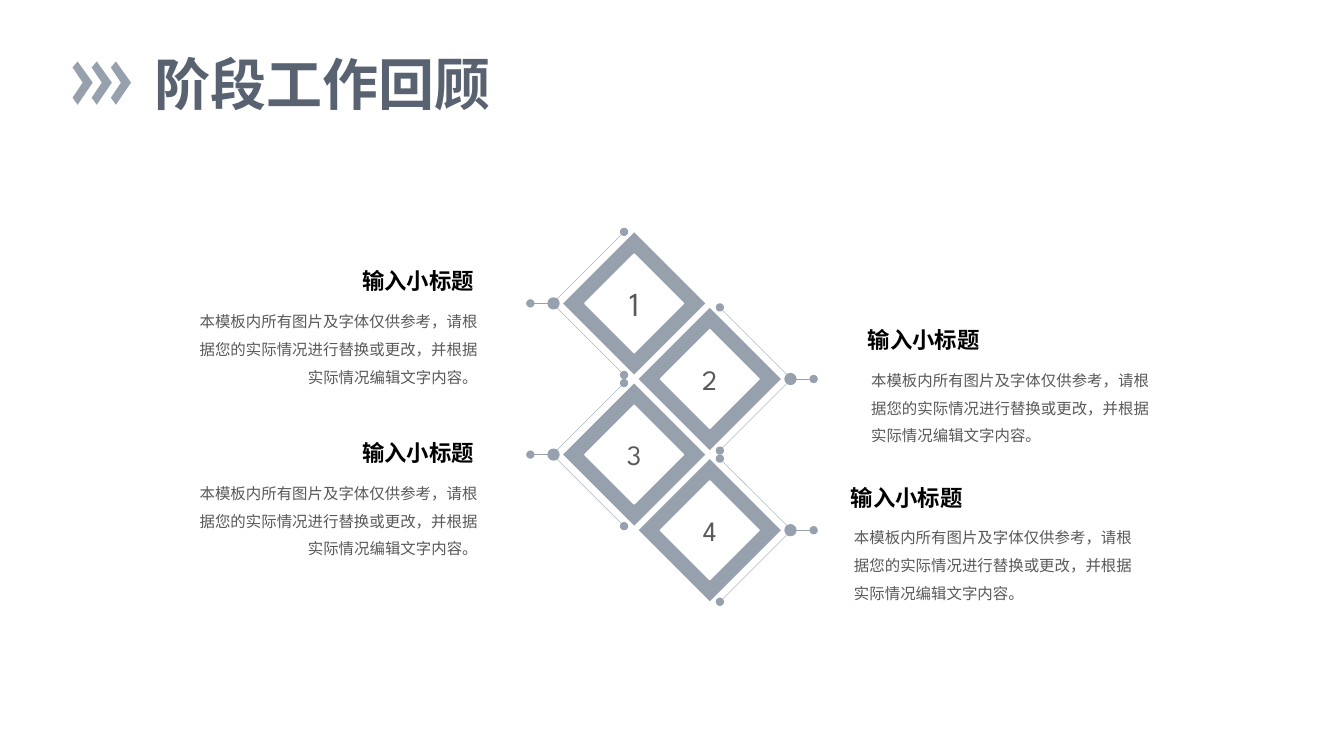
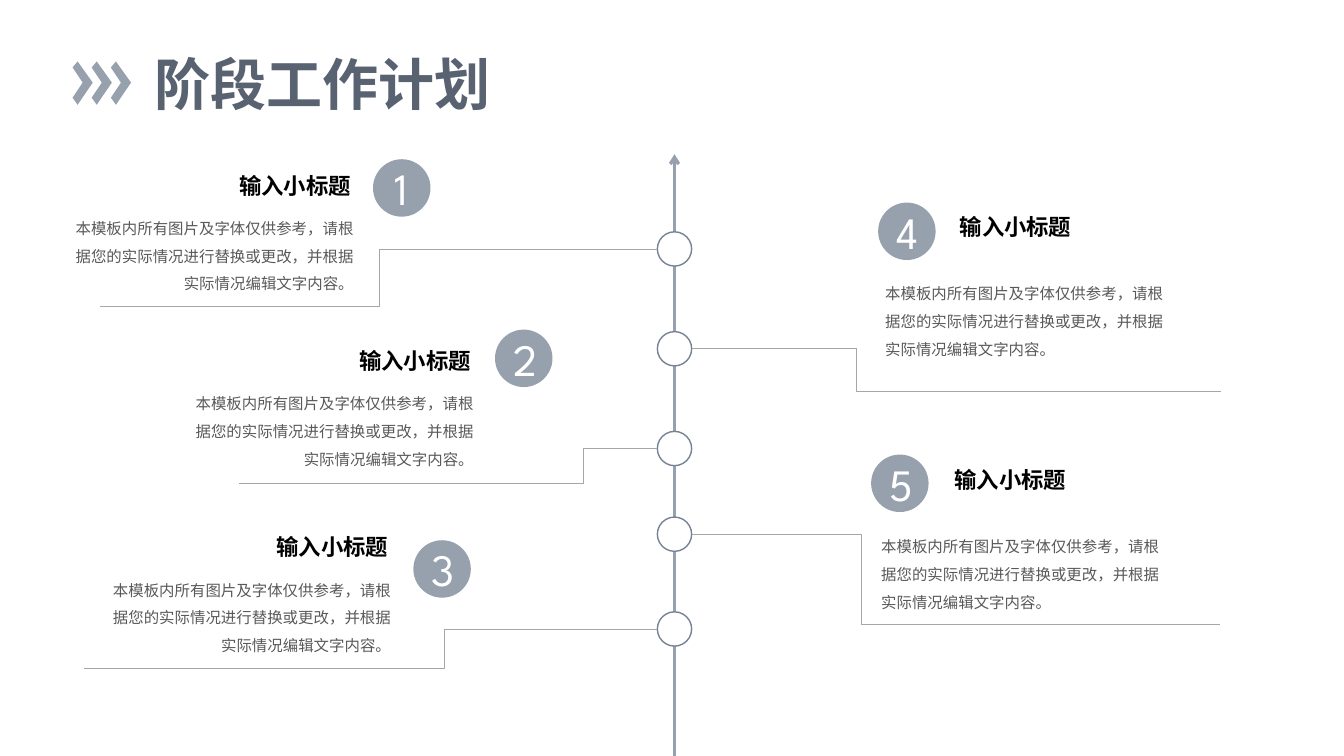
from lxml import etree
from pptx import Presentation
from pptx.dml.color import RGBColor
from pptx.enum.shapes import MSO_CONNECTOR, MSO_SHAPE
from pptx.enum.text import MSO_ANCHOR, MSO_AUTO_SIZE, PP_ALIGN
from pptx.oxml.ns import qn
from pptx.util import Inches, Pt

STRAIGHT, ELBOW = MSO_CONNECTOR.STRAIGHT, MSO_CONNECTOR.ELBOW
DIAMOND, OVAL = MSO_SHAPE.DIAMOND, MSO_SHAPE.OVAL
LEFT, CENTER, RIGHT = PP_ALIGN.LEFT, PP_ALIGN.CENTER, PP_ALIGN.RIGHT
TOP, MIDDLE = MSO_ANCHOR.TOP, MSO_ANCHOR.MIDDLE
FIT_SHAPE = MSO_AUTO_SIZE.SHAPE_TO_FIT_TEXT

FONT = "League Spartan"
COLORS = {
    "accent": "97A0AD", "title": "586270", "heading": "000000",
    "body": "595959", "white": "FFFFFF", "ring": "768395", "branch": "A6A6A6",
}

# Content
REVIEW_TITLE = "阶段工作回顾"
PLAN_TITLE = "阶段工作计划"
HEADING = "输入小标题"
BODY = ("本模板内所有图片及字体仅供参考，请根据您的实际情况进行替换或更改，"
        "并根据实际情况编辑文字内容。")

# number, number size, heading position, body position
REVIEW_STEPS = [
    ("1", 24, (2.62, 2.6), (1.91, 2.98)),
    ("2", 20, (8.51, 3.19), (8.57, 3.56)),
    ("3", 20, (2.62, 4.31), (1.91, 4.68)),
    ("4", 20, (8.34, 4.75), (8.4, 5.12)),
]
# number, alignment, badge position, heading position, body position
PLAN_STEPS = [
    ("1", RIGHT, (3.7, 1.58), (1.4, 1.66), (0.68, 2.05)),
    ("2", RIGHT, (4.91, 3.27), (2.59, 3.39), (1.87, 3.79)),
    ("3", RIGHT, (4.1, 5.36), (1.77, 5.24), (1.05, 5.64)),
    ("4", LEFT, (8.71, 2.01), (9.42, 2.07), (8.71, 2.7)),
    ("5", LEFT, (8.64, 4.51), (9.37, 4.58), (8.67, 5.21)),
]
# node y, bend x, branch end x, branch end y
PLAN_BRANCHES = [
    (2.47, 3.76, 0.99, 3.04),
    (3.46, 8.5, 12.11, 3.88),
    (4.45, 5.78, 2.37, 4.8),
    (5.3, 8.54, 12.1, 6.19),
    (6.24, 4.41, 0.83, 6.63),
]

# Geometry
CHEVRON = [(0, 0.06), (0.05, 0), (0.2, 0.21), (0.05, 0.43), (0, 0.36), (0.1, 0.21)]
CHEVRON_X, CHEVRON_Y, CHEVRON_STEP = 0.72, 0.61, 0.19
DIAMOND_X, DIAMOND_Y, DIAMOND_STEP = 6.29, 3.01, 0.75
AXIS_X, NODE_SIZE, BADGE_SIZE = 6.69, 0.34, 0.57


def rgb(name):
    return RGBColor.from_string(COLORS[name])


def write(shape, text, size, color, align=LEFT, bold=False, anchor=TOP):
    frame = shape.text_frame
    frame.vertical_anchor = anchor
    paragraph = frame.paragraphs[0]
    paragraph.text = text
    paragraph.alignment = align
    font = paragraph.font
    font.size, font.bold, font.name = Pt(size), bold, FONT
    font.color.rgb = rgb(color)
    latin = paragraph._p.pPr.find(qn("a:defRPr")).find(qn("a:latin"))
    east_asian = etree.Element(qn("a:ea"), typeface=FONT)
    latin.addnext(east_asian)
    return paragraph


def add_centered(slide, kind, x, y, size, fill, line=None, width=1):
    """Draw a square-proportioned shape around the point x, y."""
    shape = slide.shapes.add_shape(kind, Inches(x - size / 2), Inches(y - size / 2),
                                   Inches(size), Inches(size))
    shape.shadow.inherit = False
    shape.fill.solid()
    shape.fill.fore_color.rgb = rgb(fill)
    if line:
        shape.line.color.rgb = rgb(line)
        shape.line.width = Pt(width)
    else:
        shape.line.fill.background()
    return shape


def add_line(slide, start, end, color, width, kind=STRAIGHT, head=None, tail=None):
    """Draw a connector; head marks its start and tail its end."""
    points = [Inches(value) for value in (*start, *end)]
    connector = slide.shapes.add_connector(kind, *points)
    connector.line.color.rgb = rgb(color)
    connector.line.width = Pt(width)
    for tag, marker in (("a:headEnd", head), ("a:tailEnd", tail)):
        if marker:
            etree.SubElement(connector.line._get_or_add_ln(), qn(tag), type=marker)
    etree.SubElement(connector._element.spPr, qn("a:effectLst"))
    return connector


def add_text_pair(slide, heading_at, body_at, align):
    """Add one heading and the body text that belongs to it."""
    heading = slide.shapes.add_textbox(*map(Inches, (*heading_at, 2.18, 0.37)))
    write(heading, HEADING, 16, "heading", align, bold=True)
    body = slide.shapes.add_textbox(*map(Inches, (*body_at, 2.9, 0.87)))
    write(body, BODY, 11, "body", align).line_spacing = 1.5
    frame = body.text_frame
    frame.margin_left = frame.margin_right = Inches(0.07)
    frame.margin_top = frame.margin_bottom = Inches(0.03)
    for box in (heading, body):
        box.text_frame.word_wrap = True
        box.text_frame.auto_size = FIT_SHAPE


def add_titled_slide(prs, text):
    """Start a slide with the shared title and its three chevrons."""
    slide = prs.slides.add_slide(prs.slide_layouts[5])
    title = slide.shapes.title
    title.left, title.top, title.width, title.height = map(
        Inches, (1.43, 0.44, 3.57, 0.77))
    write(title, text, 40, "title", bold=True)
    title.text_frame.word_wrap = False
    title.text_frame.auto_size = FIT_SHAPE
    for index in range(3):
        left = CHEVRON_X + index * CHEVRON_STEP
        outline = [(Inches(left + x), Inches(CHEVRON_Y + y)) for x, y in CHEVRON]
        builder = slide.shapes.build_freeform(*outline[0])
        builder.add_line_segments(outline[1:], close=True)
        chevron = builder.convert_to_shape()
        chevron.shadow.inherit = False
        chevron.fill.solid()
        chevron.fill.fore_color.rgb = rgb("accent")
        chevron.line.fill.background()
    return slide


def add_bracket(slide, x, y, side):
    """Outline the outer half of a diamond; side is -1 for left, 1 for right."""
    apex = (x + side * 0.81, y)
    end_x = x + side * 0.1
    add_line(slide, (end_x, y - 0.71), apex, "accent", 0.25, head="oval")
    add_line(slide, apex, (end_x, y + 0.71), "accent", 0.25, tail="oval")
    add_centered(slide, OVAL, x + side * 0.8, y, 0.09, "accent", "accent", 2.25)
    add_line(slide, (x + side * 1.03, y), (x + side * 0.84, y), "accent", 0.25,
             head="oval")


def build_review(prs):
    slide = add_titled_slide(prs, REVIEW_TITLE)
    for index, (number, size, heading_at, body_at) in enumerate(REVIEW_STEPS):
        on_right = index % 2
        x = DIAMOND_X + on_right * DIAMOND_STEP
        y = DIAMOND_Y + index * DIAMOND_STEP
        add_centered(slide, DIAMOND, x, y, 1.41, "accent")
        add_bracket(slide, x, y, 1 if on_right else -1)
        center = add_centered(slide, DIAMOND, x, y, 0.98, "white", "white")
        write(center, number, size, "body", CENTER, anchor=MIDDLE)
        add_text_pair(slide, heading_at, body_at, LEFT if on_right else RIGHT)


def build_plan(prs):
    slide = add_titled_slide(prs, PLAN_TITLE)
    add_line(slide, (AXIS_X, 7.5), (AXIS_X, 1.53), "accent", 2.25, tail="arrow")

    # Nodes and branches
    for y, bend_x, end_x, end_y in PLAN_BRANCHES:
        add_centered(slide, OVAL, AXIS_X, y, NODE_SIZE, "white", "ring")
        side = 1 if end_x > AXIS_X else -1
        start_x = AXIS_X + side * NODE_SIZE / 2
        branch = add_line(slide, (start_x, y), (end_x, end_y), "branch", 0.5, ELBOW)
        bend = round((bend_x - start_x) / (end_x - start_x) * 100000)
        geometry = branch._element.spPr.find(qn("a:prstGeom"))
        adjustments = geometry.find(qn("a:avLst"))
        if adjustments is None:
            adjustments = etree.SubElement(geometry, qn("a:avLst"))
        etree.SubElement(adjustments, qn("a:gd"), name="adj1", fmla=f"val {bend}")

    # Numbered texts
    for number, align, (left, top), heading_at, body_at in PLAN_STEPS:
        badge = add_centered(slide, OVAL, left + BADGE_SIZE / 2, top + BADGE_SIZE / 2,
                             BADGE_SIZE, "accent")
        write(badge, number, 32, "white", CENTER, anchor=MIDDLE)
        add_text_pair(slide, heading_at, body_at, align)


def main():
    prs = Presentation()
    prs.slide_width, prs.slide_height = Inches(13.33), Inches(7.5)
    build_review(prs)
    build_plan(prs)
    prs.save("out.pptx")


if __name__ == "__main__":
    main()
